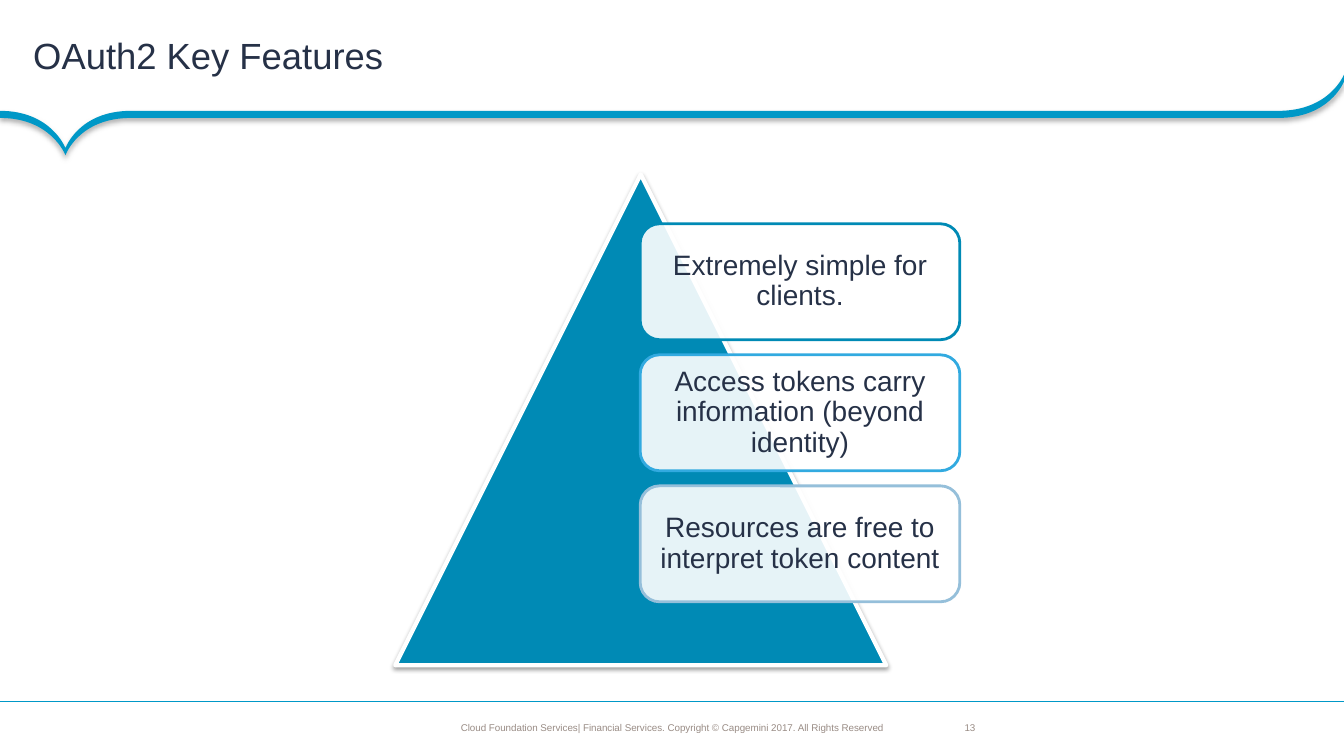
import pptx
import pptx.dml.color
import pptx.enum.shapes
import pptx.enum.text
import pptx.oxml
import pptx.oxml.ns
import pptx.util
from pptx.util import Inches

COLOURS = {
    "ribbon": "0098C7",
    "pyramid": "008AB5",
    "white": "FFFFFF",
    "text": "263147",
    "footer": "998C85",
}
FEATURES = [
    ("Extremely simple for clients.", "008AB5"),
    ("Access tokens carry information (beyond identity)", "32AAE0"),
    ("Resources are free to interpret token content", "95BFDA"),
]
# Ribbon outline: one point is a straight edge, three points are a curve
RIBBON_START = (12.68, 1.1)
RIBBON_EDGES = [
    [(1.3, 1.1)],
    [(0.78, 1.1), (0.65, 1.47), (0.65, 1.47)],
    [(0.65, 1.47), (0.51, 1.1), (0, 1.1)],
    [(0, 1.17)],
    [(0.51, 1.17), (0.65, 1.54), (0.65, 1.54)],
    [(0.65, 1.54), (0.78, 1.17), (1.3, 1.17)],
    [(12.68, 1.17)],
    [(13.19, 1.17), (13.33, 0.81), (13.33, 0.81)],
    [(13.33, 0.74)],
    [(13.33, 0.74), (13.19, 1.1), (12.68, 1.1)],
]
SHAPES = pptx.enum.shapes.MSO_SHAPE
ALIGN = pptx.enum.text.PP_ALIGN
NAMESPACE = pptx.oxml.ns.nsdecls("a")


def rgb(value):
    return pptx.dml.color.RGBColor.from_string(value)


def paint(shape, fill, line=None, width=0):
    shape.shadow.inherit = False
    shape.fill.solid()
    shape.fill.fore_color.rgb = rgb(fill)
    if line:
        shape.line.color.rgb = rgb(line)
        shape.line.width = pptx.util.Pt(width)
    else:
        shape.line.fill.background()


def add_shadow(shape, alpha, blur, distance):
    """Drop a black shadow straight down; blur and distance in points."""
    effects = shape._element.spPr.find(pptx.oxml.ns.qn("a:effectLst"))
    effects.append(pptx.oxml.parse_xml(
        f'<a:outerShdw {NAMESPACE} blurRad="{pptx.util.Pt(blur)}" '
        f'dist="{pptx.util.Pt(distance)}" dir="5400000" rotWithShape="0">'
        f'<a:srgbClr val="000000"><a:alpha val="{alpha * 1000}"/></a:srgbClr>'
        '</a:outerShdw>'))


def add_label(page, place, text, size, colour, align, insets, wrap=True):
    box = page.shapes.add_textbox(*map(Inches, place))
    frame = box.text_frame
    frame.word_wrap = wrap
    frame.vertical_anchor = pptx.enum.text.MSO_ANCHOR.MIDDLE
    (frame.margin_left, frame.margin_top,
     frame.margin_right, frame.margin_bottom) = map(Inches, insets)
    para = frame.paragraphs[0]
    para.text = text
    para.alignment = align
    para.font.name = "Arial"
    para.font.size = pptx.util.Pt(size)
    para.font.color.rgb = rgb(colour)
    return para


def add_ribbon(page):
    corners = [(Inches(x), Inches(y)) for x, y in (edge[-1] for edge in RIBBON_EDGES)]
    builder = page.shapes.build_freeform(*map(Inches, RIBBON_START))
    builder.add_line_segments(corners, close=True)
    ribbon = builder.convert_to_shape()
    # Bend the straight edges that have control points
    straights = list(ribbon._element.iter(pptx.oxml.ns.qn("a:lnTo")))
    for straight, edge in zip(straights, RIBBON_EDGES):
        if len(edge) == 3:
            points = "".join(
                f'<a:pt x="{Inches(x) - ribbon.left}" y="{Inches(y) - ribbon.top}"/>'
                for x, y in edge)
            straight.getparent().replace(straight, pptx.oxml.parse_xml(
                f'<a:cubicBezTo {NAMESPACE}>{points}</a:cubicBezTo>'))
    paint(ribbon, COLOURS["ribbon"])
    add_shadow(ribbon, 31, 4, 2)


def add_footer(page):
    rule = page.shapes.add_connector(
        pptx.enum.shapes.MSO_CONNECTOR.STRAIGHT,
        Inches(13.33), Inches(6.96), Inches(0), Inches(6.96))
    rule.line.color.rgb = rgb(COLOURS["ribbon"])
    rule.line.width = pptx.util.Pt(0.75)
    rule._element.spPr.append(pptx.oxml.parse_xml(f'<a:effectLst {NAMESPACE}/>'))
    add_label(page, (9.56, 7.16, 0.12, 0.12), "13", 7, COLOURS["footer"],
              ALIGN.CENTER, (0, 0, 0, 0), wrap=False)
    add_label(page, (3.99, 7.08, 5.35, 0.27),
              "Cloud Foundation Services| Financial Services. "
              "Copyright © Capgemini 2017. All Rights Reserved",
              7, COLOURS["footer"], ALIGN.CENTER, (0.04,) * 4, wrap=False)


def add_pyramid(page):
    pyramid = page.shapes.add_shape(
        SHAPES.ISOSCELES_TRIANGLE, *map(Inches, (3.92, 1.73, 4.87, 4.87)))
    paint(pyramid, COLOURS["pyramid"], COLOURS["white"], 3)
    add_shadow(pyramid, 38, 3.1, 1.6)


def add_feature(page, top, text, border):
    place = (6.35, top, 3.17, 1.15)
    card = page.shapes.add_shape(SHAPES.ROUNDED_RECTANGLE, *map(Inches, place))
    paint(card, COLOURS["white"], border, 2)
    # Let the pyramid show faintly through the card
    colour = card._element.spPr.find(
        pptx.oxml.ns.qn("a:solidFill")).find(pptx.oxml.ns.qn("a:srgbClr"))
    colour.append(pptx.oxml.parse_xml(f'<a:alpha {NAMESPACE} val="90000"/>'))
    para = add_label(page, place, text, 20, COLOURS["text"], ALIGN.CENTER, (0.08,) * 4)
    para.line_spacing = 0.9
    para.space_after = pptx.util.Pt(7)


def main():
    deck = pptx.Presentation()
    deck.slide_width, deck.slide_height = Inches(13.33), Inches(7.5)
    page = deck.slides.add_slide(deck.slide_layouts[6])

    # Frame of the page
    add_ribbon(page)
    add_footer(page)
    add_label(page, (0, 0, 13.33, 1.1), "OAuth2 Key Features", 26,
              COLOURS["text"], ALIGN.LEFT, (0.33, 0.04, 0.18, 0.04))

    # Pyramid with its features
    add_pyramid(page)
    for index, (text, border) in enumerate(FEATURES):
        add_feature(page, 2.22 + 1.3 * index, text, border)

    deck.save("out.pptx")


if __name__ == "__main__":
    main()
